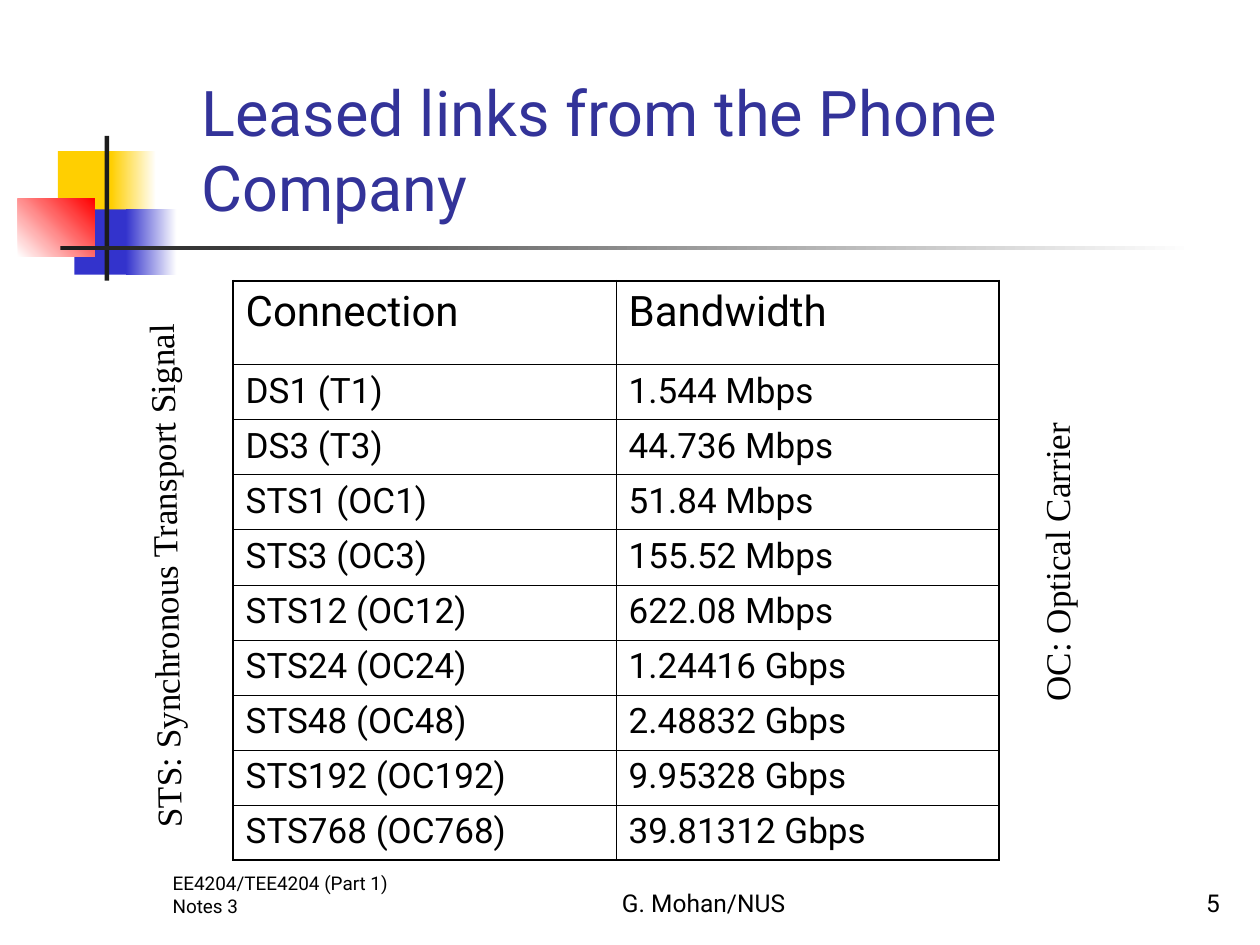
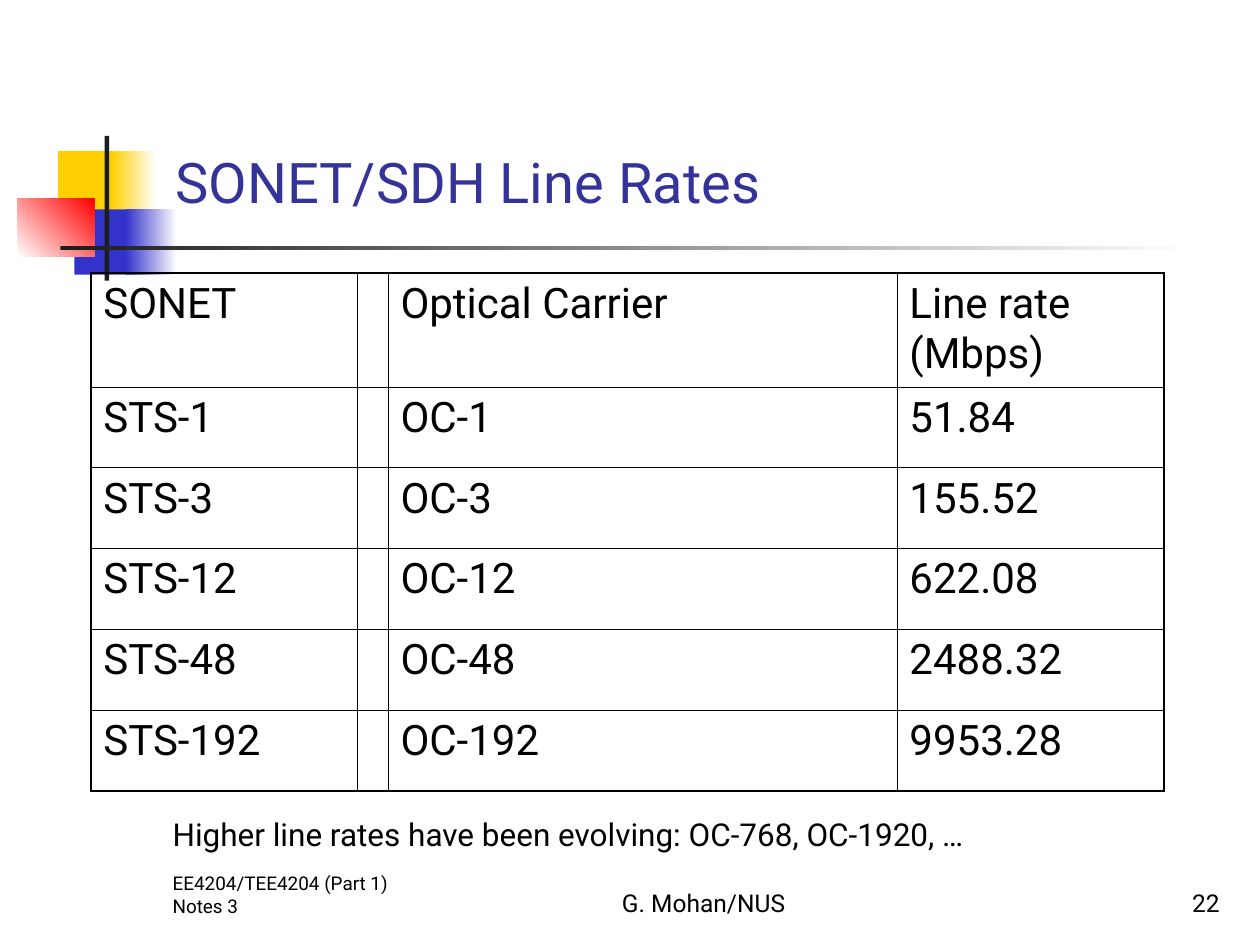
from lxml import etree
from pptx import Presentation
from pptx import util as u
from pptx.dml.color import RGBColor
from pptx.enum import shapes, text
from pptx.oxml import ns

COLOURS = {
    "title": "333399", "text": "000000", "border": "000000", "white": "FFFFFF",
    "yellow": "FFCF01", "blue": "3333CC", "red": "FF0000", "dark": "1C1C1C",
}
SANS, SERIF = "Roboto", "Times New Roman"
OUTER_LINE, INNER_LINE = u.Pt(1.08), u.Pt(0.45)
LEFT, CENTER, RIGHT = text.PP_ALIGN.LEFT, text.PP_ALIGN.CENTER, text.PP_ALIGN.RIGHT
TOP, BOTTOM = text.MSO_ANCHOR.TOP, text.MSO_ANCHOR.BOTTOM

# left, top, width, height in cm, then one colour, or two and an angle
MOTIF = [
    ((1.17, 3.05, 1.22, 1.32), ("yellow",)),
    ((2.24, 3.05, 0.91, 1.32), ("yellow", "white", 0)),
    ((1.5, 4.22, 1.17, 1.32), ("blue",)),
    ((2.54, 4.22, 1.02, 1.32), ("blue", "white", 0)),
    ((0.36, 4.01, 1.55, 1.17), ("white", "red", 45)),
    ((2.11, 2.74, 0.09, 2.92), ("dark",)),
    ((1.22, 4.95, 22.86, 0.09), ("dark", "white", 0)),
]

LEASED_LINKS = [
    ("Connection", "Bandwidth"),
    ("DS1 (T1)", "1.544 Mbps"),
    ("DS3 (T3)", "44.736 Mbps"),
    ("STS1 (OC1)", "51.84 Mbps"),
    ("STS3 (OC3)", "155.52 Mbps"),
    ("STS12 (OC12)", "622.08 Mbps"),
    ("STS24 (OC24)", "1.24416 Gbps"),
    ("STS48 (OC48)", "2.48832 Gbps"),
    ("STS192 (OC192)", "9.95328 Gbps"),
    ("STS768 (OC768)", "39.81312 Gbps"),
]
LINE_RATES = [("SONET", "", "Optical Carrier", "Line rate (Mbps)")] + [
    (f"STS-{level}", "", f"OC-{level}", rate)
    for level, rate in [(1, "51.84"), (3, "155.52"), (12, "622.08"),
                        (48, "2488.32"), (192, "9953.28")]
]


def rgb(name):
    return RGBColor.from_string(COLOURS[name])


def style(paragraph, size, font=SANS, colour="text", align=LEFT):
    paragraph.alignment = align
    paragraph.font.name = font
    paragraph.font.size = u.Pt(size)
    paragraph.font.color.rgb = rgb(colour)


def add_border(cell, side, width):
    """Draw one side (L, R, T or B) of a table cell."""
    properties = cell._tc.get_or_add_tcPr()
    line = etree.SubElement(properties, ns.qn(f"a:ln{side}"), w=str(int(width)))
    fill = etree.SubElement(line, ns.qn("a:solidFill"))
    etree.SubElement(fill, ns.qn("a:srgbClr"), val=COLOURS["border"])


class Deck:
    def __init__(self):
        self.presentation = Presentation()
        self.presentation.slide_width = u.Cm(25.4)
        self.presentation.slide_height = u.Cm(19.05)
        self.slide = None

    def start_slide(self, number):
        """Add a slide with the motif and the three footers."""
        self.slide = self.presentation.slides.add_slide(self.presentation.slide_layouts[6])
        for box, fill in MOTIF:
            self.block(box, *fill)
        for left, width, words, size, align in [
            (3.23, 5.28, "EE4204/TEE4204 (Part 1) Notes 3", 10.8, LEFT),
            (10.16, 8.05, "G. Mohan/NUS", 14, CENTER),
            (19.56, 5.28, str(number), 14, RIGHT),
        ]:
            self.label(words, (left, 17.35, width, 1.27), size, anchor=BOTTOM, align=align)

    def block(self, box, colour, end_colour=None, angle=0):
        shape = self.slide.shapes.add_shape(shapes.MSO_SHAPE.RECTANGLE, *map(u.Cm, box))
        shape.shadow.inherit = False
        shape.line.fill.background()
        if end_colour is None:
            shape.fill.solid()
            shape.fill.fore_color.rgb = rgb(colour)
            return
        shape.fill.gradient()
        shape.fill.gradient_angle = angle
        for stop, name in zip(shape.fill.gradient_stops, (colour, end_colour)):
            stop.color.rgb = rgb(name)

    def label(self, words, box, size, anchor=TOP, rotation=0, **look):
        shape = self.slide.shapes.add_textbox(*map(u.Cm, box))
        shape.rotation = rotation
        frame = shape.text_frame
        frame.word_wrap = True
        frame.vertical_anchor = anchor
        frame.text = words
        style(frame.paragraphs[0], size, **look)

    def title(self, words, box, size):
        self.label(words, box, size, anchor=BOTTOM, colour="title")

    def table(self, rows, left, top, widths, header_height, row_height, body_size):
        heights = [header_height] + [row_height] * (len(rows) - 1)
        table = self.slide.shapes.add_table(
            len(rows), len(widths), u.Cm(left), u.Cm(top),
            u.Cm(sum(widths)), u.Cm(sum(heights))).table
        table.first_row = table.horz_banding = False
        for column, width in zip(table.columns, widths):
            column.width = u.Cm(width)
        for row, height in zip(table.rows, heights):
            row.height = u.Cm(height)
        last_row, last_column = len(rows) - 1, len(widths) - 1
        for i, row in enumerate(rows):
            for j, words in enumerate(row):
                cell = table.cell(i, j)
                cell.text = words
                style(cell.text_frame.paragraphs[0], body_size if i else 24)
                edges = {"L": j == 0, "R": j == last_column,
                         "T": i == 0, "B": i == last_row}
                for side, is_outer in edges.items():
                    add_border(cell, side, OUTER_LINE if is_outer else INNER_LINE)
                cell.fill.background()


def main():
    deck = Deck()

    deck.start_slide(5)
    deck.title("Leased links from the Phone Company", (3.81, 1.47, 21.59, 3.18), 36)
    deck.table(LEASED_LINKS, 4.7, 5.66, [7.72, 7.72], 1.69, 1.11, body_size=20)
    deck.label("STS: Synchronous Transport Signal", (-3.15, 9.93, 12.9, 1.12), 20,
               rotation=269.1, font=SERIF)
    deck.label("OC: Optical Carrier", (16.64, 9.17, 9.32, 1.12), 20,
               rotation=269.9, font=SERIF)

    deck.start_slide(22)
    deck.title("SONET/SDH Line Rates", (3.29, 1.27, 20.2, 3.18), 32)
    deck.table(LINE_RATES, 1.83, 5.51, [5.38, 0.61, 10.26, 5.38], 2.29, 1.63, body_size=24)
    deck.label("Higher line rates have been evolving: OC-768, OC-1920, …",
               (3.23, 16.31, 17.3, 1.78), 18)

    deck.presentation.save("out.pptx")


if __name__ == "__main__":
    main()
